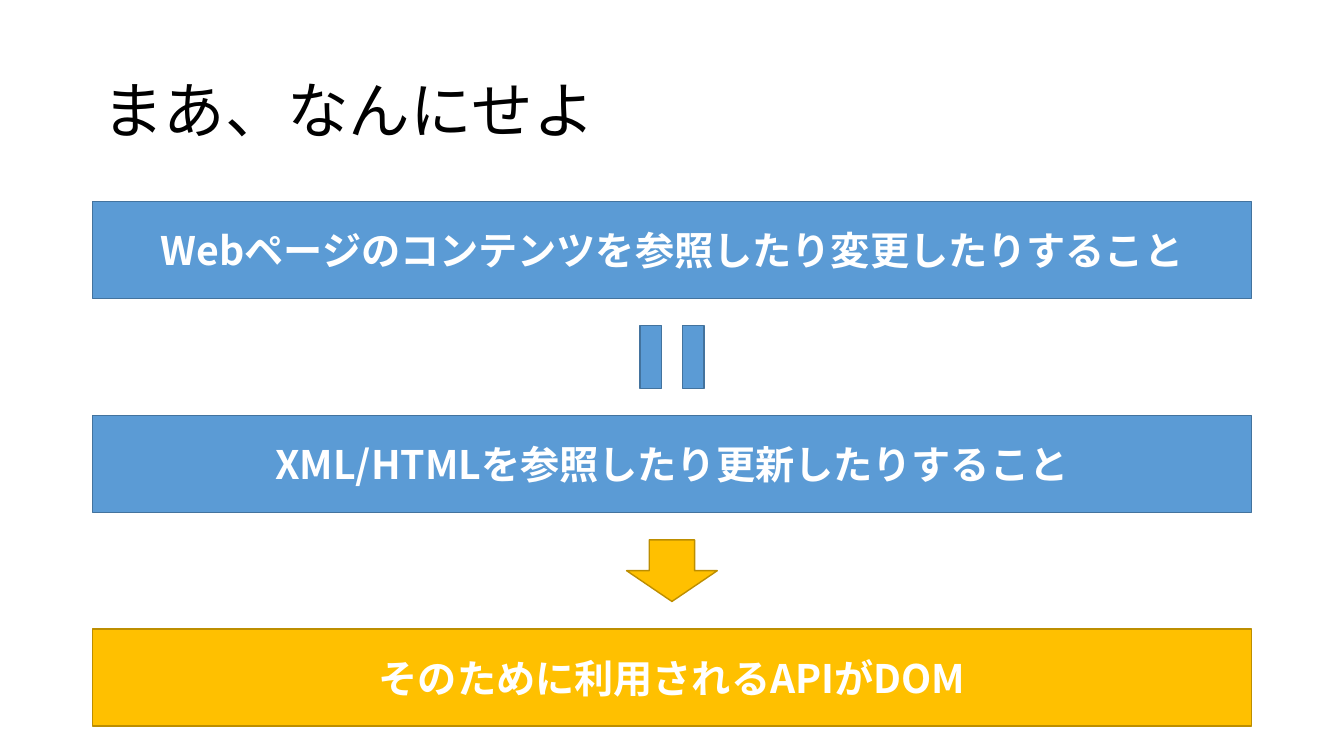
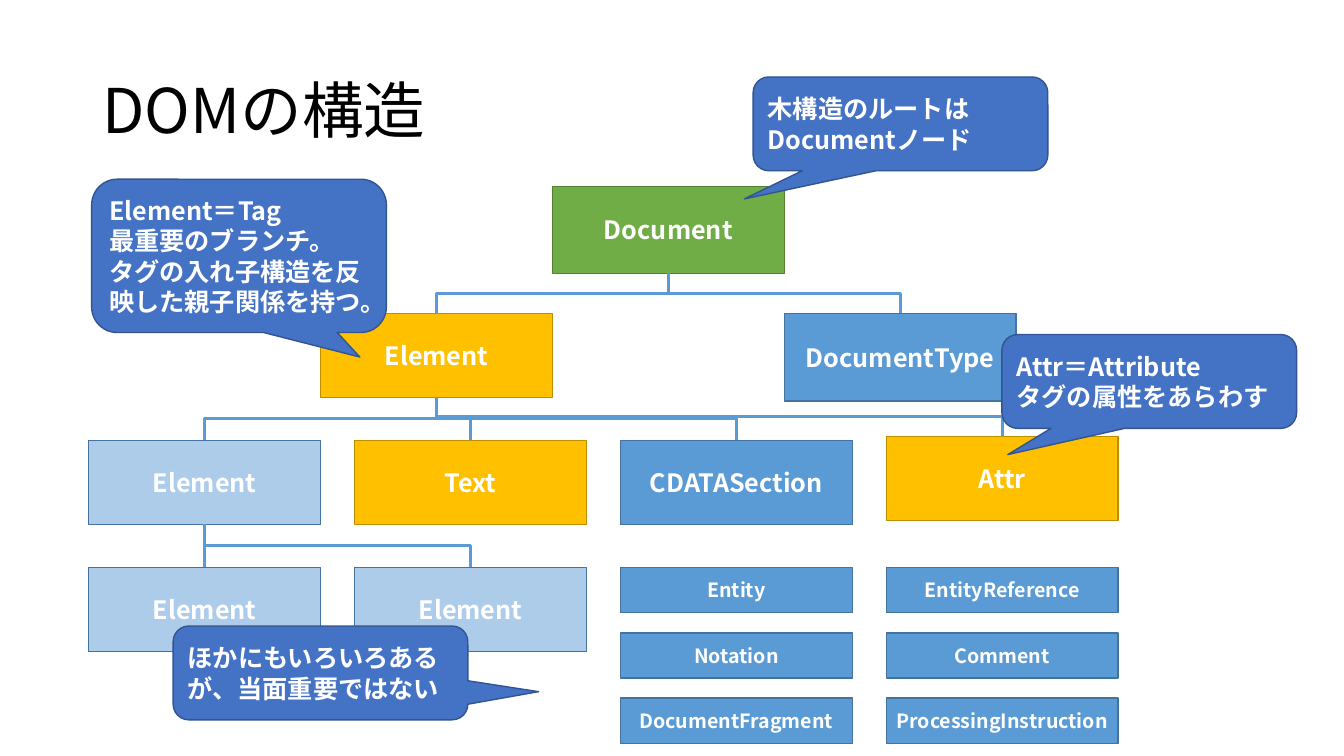
from pptx import Presentation
from pptx.dml.color import RGBColor
from pptx.enum import lang, shapes, text
from pptx.oxml import ns
from pptx.util import Pt
from lxml import etree

SHAPE = shapes.MSO_SHAPE
FONT = "Noto Sans CJK JP"
COLORS = {"white": "FFFFFF", "black": "000000"}
STYLES = {  # fill, outline, fill opacity in percent
    "blue": ("5B9BD5", "43739E", 100),
    "pale": ("5B9BD5", "43739E", 50),
    "gold": ("FFC000", "BD8E00", 100),
    "green": ("70AD47", "538035", 100),
    "note": ("4472C4", "325491", 100),
}
SLIDE_W, SLIDE_H = 960, 540
MARGIN, CONTENT_W = 66, 828

# Slide 1: statements from top to bottom
SUMMARY_TITLE = "まあ、なんにせよ"
STATEMENTS = [
    ("Webページのコンテンツを参照したり変更したりすること", "blue"),
    ("XML/HTMLを参照したり更新したりすること", "blue"),
    ("そのために利用されるAPIがDOM", "gold"),
]
BAR_TOP, BAR_STEP, BAR_H = 144, 152.7, 69.2
SIGNS = [  # between statements: shape, width, height, rotation, adjustments, style
    (SHAPE.MATH_EQUAL, 61.2, 64.8, 90, (0.235, 0.231), "blue"),
    (SHAPE.DOWN_ARROW, 64.8, 44, 0, (), "gold"),
]

# Slide 2: tree of node types
TREE_TITLE = "DOMの構造"
NODE_W, NODE_H = 165.6, 60
TREE_TOP, ROW_STEP = 133.2, 90.7
BRANCH_LEFT = 229  # upper nodes sit one node width apart
LEAF_LEFT, LEAF_STEP = 63.4, 189.9
SMALL_STEP, SMALL_H = 46.7, 32.3


def branch_x(i):
    return BRANCH_LEFT + i * NODE_W


def leaf_x(i):
    return LEAF_LEFT + i * LEAF_STEP


def row_y(i):
    return TREE_TOP + i * ROW_STEP


NODES = {  # key: label, style, left, top, height
    "document": ("Document", "green", branch_x(1), row_y(0), 62),
    "element": ("Element", "gold", branch_x(0), row_y(1), NODE_H),
    "doctype": ("DocumentType", "blue", branch_x(2), row_y(1), 62.6),
    "child": ("Element", "pale", leaf_x(0), row_y(2), NODE_H),
    "text": ("Text", "gold", leaf_x(1), row_y(2), NODE_H),
    "cdata": ("CDATASection", "blue", leaf_x(2), row_y(2), NODE_H),
    "attr": ("Attr", "gold", leaf_x(3), row_y(2) - 2.8, NODE_H),
    "grandchild 1": ("Element", "pale", leaf_x(0), row_y(3), NODE_H),
    "grandchild 2": ("Element", "pale", leaf_x(1), row_y(3), NODE_H),
}
BRANCHES = {
    "document": ["doctype", "element"],
    "element": ["child", "text", "cdata", "attr"],
    "child": ["grandchild 1", "grandchild 2"],
}
OTHER_NODES = [  # one row per pair, under the two right-hand columns
    ("Entity", "EntityReference"),
    ("Notation", "Comment"),
    ("DocumentFragment", "ProcessingInstruction"),
]
NOTE_W, NOTE_H = 210.5, 67
NOTES = [  # text, left, top, height, pointer
    ("木構造のルートはDocumentノード", 538, 55, NOTE_H, (-0.53, 0.8)),
    ("Element＝Tag\n最重要のブランチ。\nタグの入れ子構造を反映した親子関係を持つ。",
     65.5, 128, 109.5, (0.41, 0.66)),
    ("Attr＝Attribute\nタグの属性をあらわす", 715.7, 239, NOTE_H, (-0.48, 0.78)),
    ("ほかにもいろいろあるが、当面重要ではない", 123.7, 447.2, NOTE_H, (0.74, 0.2)),
]


def rgb(value):
    return RGBColor.from_string(value)


def set_text(shape, words, size, color, bold=False, align=None, spacing=None):
    frame = shape.text_frame
    frame.text = words
    frame.word_wrap = True
    frame.vertical_anchor = text.MSO_ANCHOR.MIDDLE
    for paragraph in frame.paragraphs:
        paragraph.alignment = align or text.PP_ALIGN.LEFT
        if spacing:
            paragraph.line_spacing = spacing
        for run in paragraph.runs:
            font = run.font
            font.name, font.size, font.bold = FONT, Pt(size), bold
            font.color.rgb = rgb(COLORS[color])
            font.language_id = lang.MSO_LANGUAGE_ID.JAPANESE
            # East Asian typeface
            etree.SubElement(font._element, ns.qn("a:ea"), typeface=FONT)


def add_slide(prs, title):
    slide = prs.slides.add_slide(prs.slide_layouts[6])
    box = slide.shapes.add_textbox(Pt(MARGIN), Pt(28.8), Pt(CONTENT_W), Pt(104.4))
    set_text(box, title, 44, "black", spacing=0.9)
    return slide


def add_block(slide, kind, left, top, width, height, style, adjustments=()):
    block = slide.shapes.add_shape(kind, Pt(left), Pt(top), Pt(width), Pt(height))
    fill, line, opacity = STYLES[style]
    block.shadow.inherit = False
    block.fill.solid()
    block.fill.fore_color.rgb = rgb(fill)
    if opacity < 100:
        color = block._element.spPr.find(".//" + ns.qn("a:srgbClr"))
        etree.SubElement(color, ns.qn("a:alpha"), val=str(opacity * 1000))
    block.line.color.rgb = rgb(line)
    block.line.width = Pt(1)
    for i, value in enumerate(adjustments):
        block.adjustments[i] = value
    return block


def add_box(slide, words, left, top, width, height, style, size):
    box = add_block(slide, SHAPE.RECTANGLE, left, top, width, height, style)
    set_text(box, words, size, "white", bold=True, align=text.PP_ALIGN.CENTER)
    return box


def add_branch(slide, parent, child):
    """Join the bottom of parent to the top of child, vertical part first."""
    x1, y1 = parent.left + parent.width // 2, parent.top + parent.height
    x2, y2 = child.left + child.width // 2, child.top
    kinds = shapes.MSO_CONNECTOR
    kind = kinds.STRAIGHT if x1 == x2 else kinds.ELBOW
    branch = slide.shapes.add_connector(kind, x1, y1, x2, y2)
    branch.begin_connect(parent, 2)
    branch.end_connect(child, 0)
    branch.line.color.rgb = rgb(STYLES["blue"][0])
    branch.line.width = Pt(2.25)
    props = branch._element.spPr
    etree.SubElement(props, ns.qn("a:effectLst"))
    if kind == kinds.ELBOW:  # turn the elbow by a quarter
        across, down = abs(x2 - x1), y2 - y1
        branch.left = (x1 + x2 - down) // 2
        branch.top = (y1 + y2 - across) // 2
        branch.width, branch.height = down, across
        frame = props.find(ns.qn("a:xfrm"))
        to_right = x2 > x1
        frame.set("rot", str((270 if to_right else 90) * 60000))
        frame.set("flipH", "1" if to_right else "0")
        frame.set("flipV", "0")


def build_summary(prs):
    slide = add_slide(prs, SUMMARY_TITLE)
    for i, (words, style) in enumerate(STATEMENTS):
        add_box(slide, words, MARGIN, BAR_TOP + i * BAR_STEP, CONTENT_W, BAR_H, style, 28)
    # Signs centred in the gaps
    for i, (kind, width, height, rotation, adjustments, style) in enumerate(SIGNS):
        middle = BAR_TOP + i * BAR_STEP + (BAR_H + BAR_STEP) / 2
        sign = add_block(slide, kind, (SLIDE_W - width) / 2, middle - height / 2,
                         width, height, style, adjustments)
        sign.rotation = rotation


def build_tree(prs):
    slide = add_slide(prs, TREE_TITLE)
    nodes = {key: add_box(slide, label, left, top, NODE_W, height, style, 18)
             for key, (label, style, left, top, height) in NODES.items()}
    for parent, children in BRANCHES.items():
        for child in children:
            add_branch(slide, nodes[parent], nodes[child])
    # Other node types
    for row, pair in enumerate(OTHER_NODES):
        for column, label in enumerate(pair, start=2):
            add_box(slide, label, leaf_x(column), row_y(3) + row * SMALL_STEP,
                    NODE_W, SMALL_H, "blue", 14)
    # Callouts on top
    for words, left, top, height, pointer in NOTES:
        note = add_block(slide, SHAPE.ROUNDED_RECTANGULAR_CALLOUT, left, top,
                         NOTE_W, height, "note", pointer)
        set_text(note, words, 18, "white", bold=True)


def main():
    prs = Presentation()
    prs.slide_width, prs.slide_height = Pt(SLIDE_W), Pt(SLIDE_H)
    build_summary(prs)
    build_tree(prs)
    prs.save("out.pptx")


if __name__ == "__main__":
    main()
